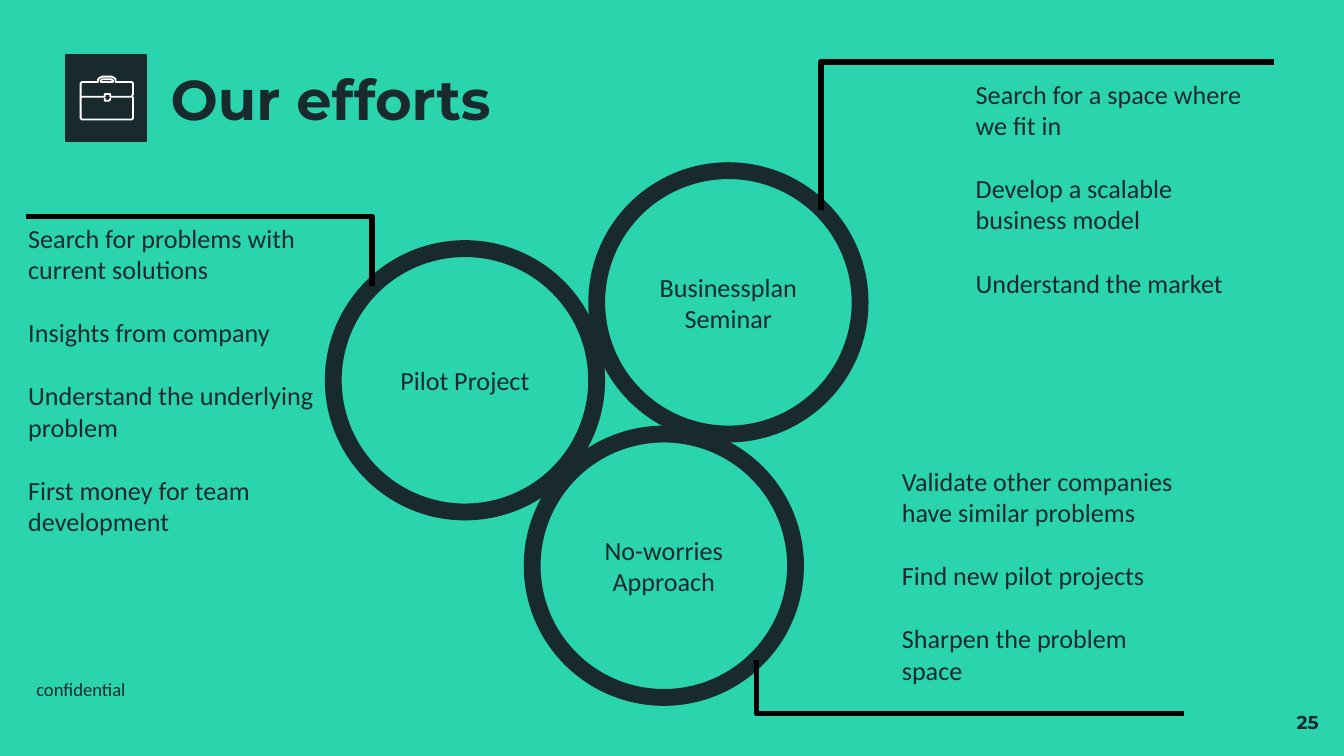
from lxml.etree import SubElement
from pptx import Presentation
from pptx.dml.color import RGBColor
from pptx.enum.shapes import MSO_CONNECTOR, MSO_SHAPE
from pptx.enum.text import MSO_ANCHOR, MSO_AUTO_SIZE, PP_ALIGN
from pptx.oxml.ns import qn
from pptx.util import Inches, Pt

MINT = RGBColor(0x2A, 0xD4, 0xAC)
INK = RGBColor(0x18, 0x2A, 0x2E)
BLACK = RGBColor(0, 0, 0)
WHITE = RGBColor(0xFF, 0xFF, 0xFF)
INSET = 0.1

TITLE = "Our efforts"
FOOTER = "confidential"
PAGE_NUMBER = "25"

# circle: left, top; box: left, top, width, height
# leader: outer end, then the end on the circle
EFFORTS = [
    {"name": "Pilot Project", "circle": (2.48, 1.85),
     "leader": (0.19, 1.61, 2.77, 2.13),
     "box": (0.11, 1.57, 2.37, 2.51), "bottom_inset": INSET,
     "points": ["Search for problems with current solutions",
                "Insights from company",
                "Understand the underlying problem",
                "First money for team development"]},
    {"name": "No-worries Approach", "circle": (3.96, 3.23),
     "leader": (8.81, 5.31, 5.63, 4.91),
     "box": (6.61, 3.49, 2.37, 1.82), "bottom_inset": 0.34,
     "points": ["Validate other companies have similar problems",
                "Find new pilot projects",
                "Sharpen the problem space"]},
    {"name": "Businessplan Seminar", "circle": (4.44, 1.27),
     "leader": (9.48, 0.46, 6.11, 1.56),
     "box": (7.16, 0.46, 2.37, 2.35), "bottom_inset": 0.57,
     "points": ["Search for a space where we fit in",
                "Develop a scalable business model",
                "Understand the market"]},
]
DIAMETER = 1.96

# Briefcase outlines in hundredths of an inch: (points, closed)
BRIEFCASE = [
    ([(98, 61), (86, 61), (86, 59), (85, 57.5), (83, 57), (76, 57), (74, 57.5),
      (73, 59), (73, 61), (61, 61), (60, 62), (60, 70), (60.5, 71.5), (62, 72),
      (77.5, 72), (77.5, 70.5), (78, 70), (81, 70), (81.5, 70.5), (81.5, 72),
      (97, 72), (98.5, 71.5), (99, 70), (99, 62)], True),
    ([(84, 61), (75, 61), (75, 59.5), (76, 59), (83, 59), (84, 59.5)], True),
    ([(81.5, 73), (81.5, 74.5), (81, 75), (78, 75), (77.5, 74.5), (77.5, 73)],
     False),
    ([(60, 72), (60, 88), (61, 89), (98, 89), (99, 88), (99, 72)], False),
]


def write(shape, paragraphs, size=14, font="Calibri", bold=False,
          align=PP_ALIGN.LEFT, anchor=MSO_ANCHOR.MIDDLE, gap=0,
          bottom_inset=INSET):
    frame = shape.text_frame
    frame.auto_size = MSO_AUTO_SIZE.NONE
    frame.word_wrap = True
    frame.vertical_anchor = anchor
    frame.margin_left = frame.margin_right = frame.margin_top = Inches(INSET)
    frame.margin_bottom = Inches(bottom_inset)
    for index, text in enumerate(paragraphs):
        paragraph = frame.add_paragraph() if index else frame.paragraphs[0]
        paragraph.text = text
        paragraph.alignment = align
        paragraph.space_before = Pt(gap if index else 0)
        properties = paragraph._p.get_or_add_pPr()
        properties.set("marL", "0")
        properties.set("indent", "0")
        SubElement(properties, qn("a:buNone"))
        paragraph.font.size = Pt(size)
        paragraph.font.name = font
        paragraph.font.bold = bold
        paragraph.font.color.rgb = INK


def place(shape, left, top, width, height):
    shape.left, shape.top = Inches(left), Inches(top)
    shape.width, shape.height = Inches(width), Inches(height)


def outline(shape, color, width):
    shape.line.color.rgb = color
    shape.line.width = Pt(width)


def add_leader(slide, ends):
    """Draw a one-bend line, horizontal first and then vertical."""
    leader = slide.shapes.add_connector(
        MSO_CONNECTOR.ELBOW, *[Inches(value) for value in ends])
    outline(leader, BLACK, 3)
    properties = leader._element.spPr
    properties.find(qn("a:prstGeom")).set("prst", "bentConnector2")
    SubElement(properties, qn("a:effectLst"))


def add_briefcase(slide):
    tile = slide.shapes.add_shape(MSO_SHAPE.RECTANGLE, Inches(0.49),
                                  Inches(0.41), Inches(0.6), Inches(0.64))
    tile.shadow.inherit = False
    tile.fill.solid()
    tile.fill.fore_color.rgb = INK
    outline(tile, INK, 0.75)
    for points, closed in BRIEFCASE:
        builder = slide.shapes.build_freeform(*points[0], scale=Inches(0.01))
        builder.add_line_segments(points[1:], close=closed)
        part = builder.convert_to_shape()
        part.shadow.inherit = False
        part.fill.background()
        outline(part, WHITE, 0.96)


def main():
    deck = Presentation()
    deck.slide_width = Inches(10)
    deck.slide_height = deck.slide_width * 9 // 16
    # The Comparison layout has a title and four body placeholders.
    slide = deck.slides.add_slide(deck.slide_layouts[4])
    slide.background.fill.solid()
    slide.background.fill.fore_color.rgb = MINT
    title, *bodies = slide.placeholders

    place(title, 1.17, 0.32, 7.01, 0.82)
    write(title, [TITLE], size=30, font="Montserrat", bold=True)
    add_briefcase(slide)

    for effort, body in zip(EFFORTS, bodies):
        circle = slide.shapes.add_shape(
            MSO_SHAPE.OVAL, *[Inches(value) for value in effort["circle"]],
            Inches(DIAMETER), Inches(DIAMETER))
        circle.shadow.inherit = False
        circle.fill.background()
        outline(circle, INK, 9)
        write(circle, [effort["name"]], align=PP_ALIGN.CENTER)
        add_leader(slide, effort["leader"])
        place(body, *effort["box"])
        write(body, effort["points"], gap=17,
              bottom_inset=effort["bottom_inset"])

    footer = bodies[-1]
    place(footer, 0.17, 4.94, 0.93, 0.52)
    write(footer, [FOOTER], size=10, anchor=MSO_ANCHOR.TOP)
    number = slide.shapes.add_textbox(Inches(9.31), Inches(5.19),
                                      Inches(0.6), Inches(0.43))
    write(number, [PAGE_NUMBER], size=10, font="Montserrat", bold=True,
          align=PP_ALIGN.RIGHT, anchor=MSO_ANCHOR.TOP)
    deck.save("out.pptx")


if __name__ == "__main__":
    main()
